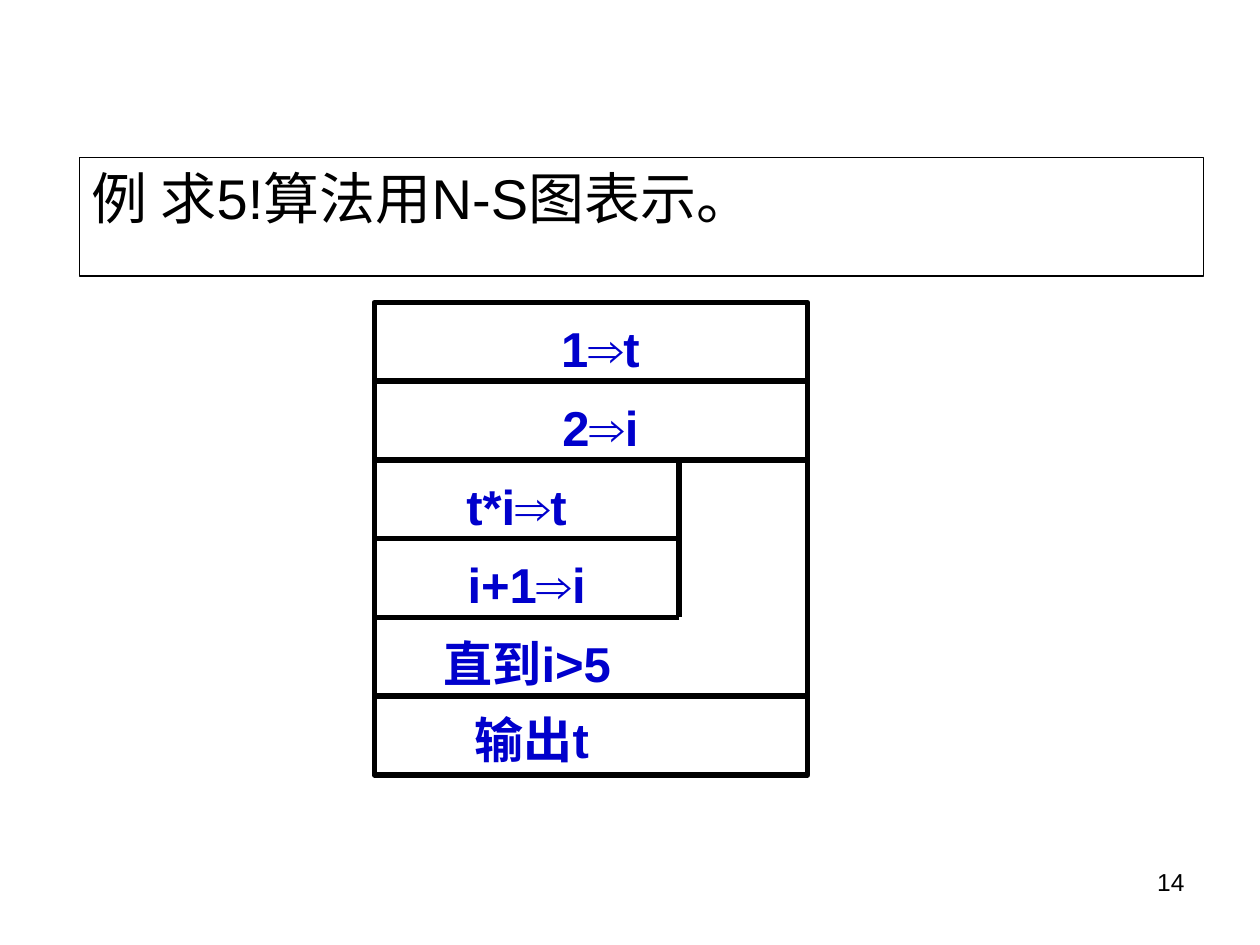
from dataclasses import dataclass

from pptx import Presentation
from pptx import util as u
from pptx.dml.color import RGBColor
from pptx.enum import shapes, text
from pptx.oxml.ns import qn
from lxml import etree


@dataclass(frozen=True)
class Theme:
    font: str = "Arial"
    black: str = "000000"
    white: str = "FFFFFF"
    blue: str = "0000CC"
    title: int = 32
    step: int = 28
    page: int = 14
    thin: float = 0.75
    thick: float = 3


THEME = Theme()
LEFT, TOP, WIDE, ROW = 2.97, 2.4, 3.44, 0.625
RIGHT, INNER = LEFT + WIDE, 5.39


def place(item, x, y, w, h):
    item.left, item.top, item.width, item.height = map(u.Inches, (x, y, w, h))


def stroke(line, width):
    line.color.rgb = RGBColor.from_string(THEME.black)
    line.width = u.Pt(width)


def write(item, words, size, color=THEME.black, bold=False, align="CENTER",
          anchor="TOP", wrap=True):
    frame = item.text_frame
    frame.word_wrap = wrap
    frame.auto_size = text.MSO_AUTO_SIZE.NONE
    frame.vertical_anchor = text.MSO_ANCHOR[anchor]
    para = frame.paragraphs[0]
    para.alignment = text.PP_ALIGN[align]
    run = para.add_run()
    run.text = words
    run.font.name = THEME.font
    run.font.size = u.Pt(size)
    run.font.bold = bold
    run.font.color.rgb = RGBColor.from_string(color)


def label(slide, words, x, y, w, h, **style):
    item = slide.shapes.add_textbox(*map(u.Inches, (x, y, w, h)))
    write(item, words, **style)


def shape(slide, kind, x, y, w, h):
    item = slide.shapes.add_shape(kind, *map(u.Inches, (x, y, w, h)))
    item.shadow.inherit = False
    item.fill.background()
    return item


def rule(slide, x1, y1, x2, y2):
    line = slide.shapes.add_connector(
        shapes.MSO_CONNECTOR.STRAIGHT, *map(u.Inches, (x1, y1, x2, y2)))
    stroke(line.line, THEME.thick)
    etree.SubElement(line._element.spPr, qn("a:effectLst"))
    return line


def head(slide):
    title = slide.shapes.title
    place(title, 0.63, 1.25, 8.92, 0.94)
    title.fill.solid()
    title.fill.fore_color.rgb = RGBColor.from_string(THEME.white)
    stroke(title.line, THEME.thin)
    write(title, "例 求5!算法用N-S图表示。", THEME.title, align="LEFT")


def chart(slide):
    box = shape(slide, shapes.MSO_SHAPE.FLOWCHART_PROCESS,
                LEFT, TOP, WIDE, 6 * ROW)
    stroke(box.line, THEME.thick)

    for row, end in enumerate((RIGHT, RIGHT, INNER, INNER, RIGHT), 1):
        y = TOP + row * ROW
        line = rule(slide, LEFT, y, end, y)
        if row == 3:
            line.begin_connect(box, 1)
    rule(slide, INNER, TOP + 2 * ROW, INNER, TOP + 4 * ROW)

    style = dict(size=THEME.step, color=THEME.blue, bold=True)
    steps = (("1⇒t", 4.22, 1.09), ("2⇒i", 4.22, 1.09), ("t*i⇒t", 3.36, 1.48),
             ("i+1⇒i", 3.44, 1.48), ("直到i>5", 3.13, 2.11))
    for row, (words, x, w) in enumerate(steps):
        label(slide, words, x, TOP + 0.08 + row * ROW, w, 0.57, **style)

    out = shape(slide, shapes.MSO_SHAPE.PARALLELOGRAM, 3.36, 5.55, 1.72, 0.63)
    out.line.fill.background()
    frame = out.text_frame
    frame.margin_left = frame.margin_right = 0
    frame.margin_top = frame.margin_bottom = 0
    write(out, "输出t", anchor="MIDDLE", wrap=False, **style)


def main():
    deck = Presentation()
    deck.slide_width, deck.slide_height = u.Inches(10), u.Inches(7.5)
    slide = deck.slides.add_slide(deck.slide_layouts[5])
    head(slide)
    chart(slide)
    label(slide, "14", 7.17, 6.83, 2.33, 0.52, size=THEME.page, align="RIGHT")
    deck.save("out.pptx")


if __name__ == "__main__":
    main()
